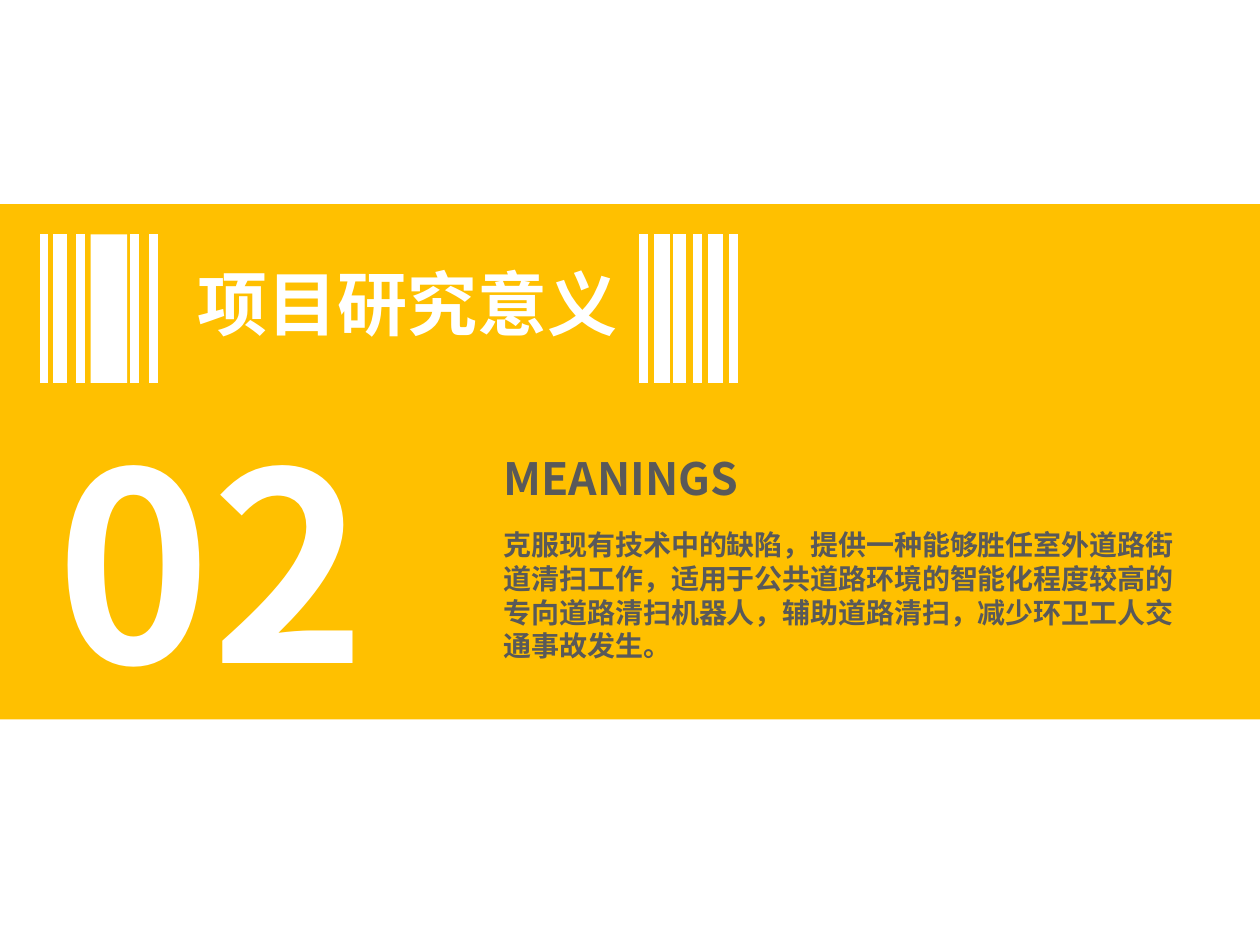
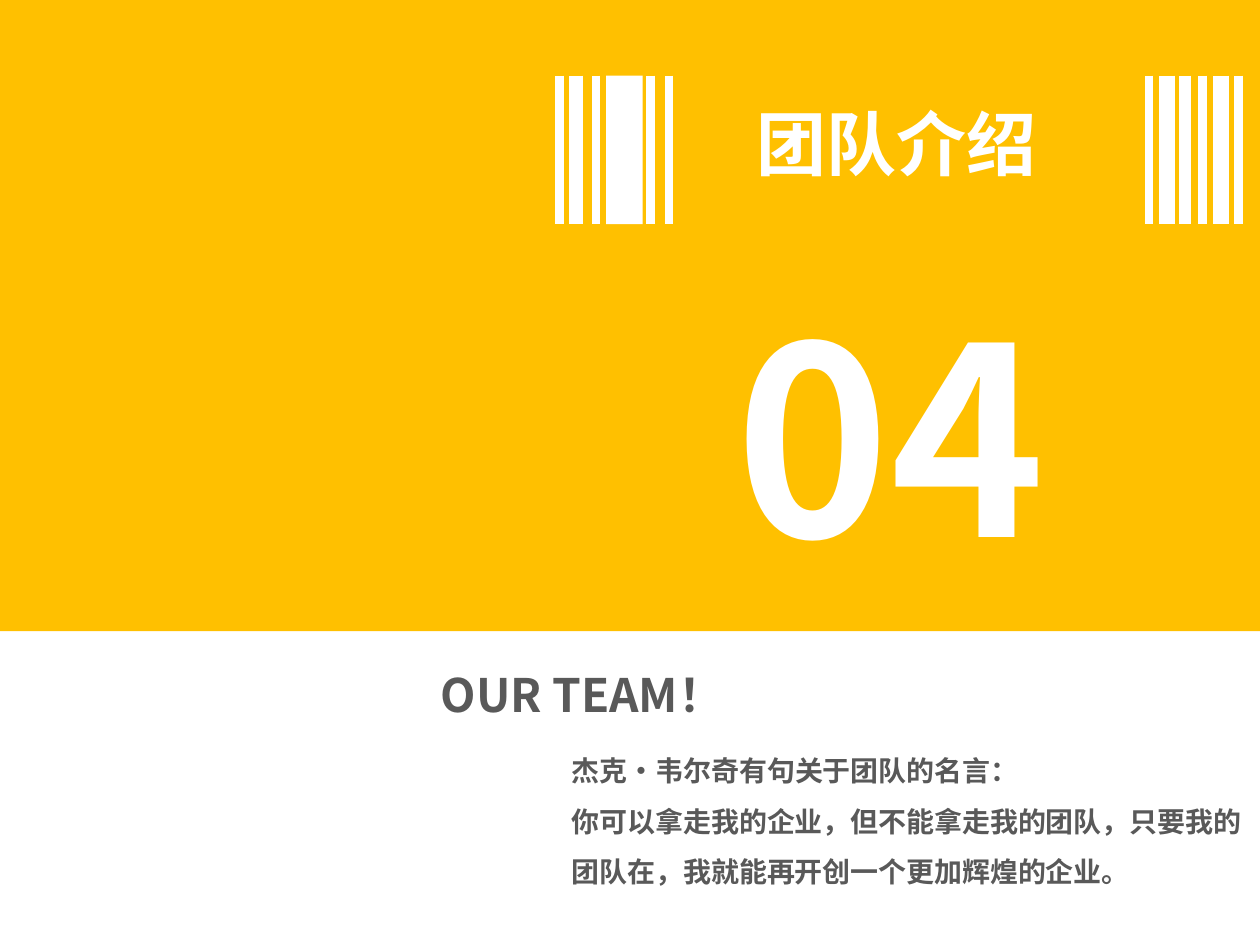
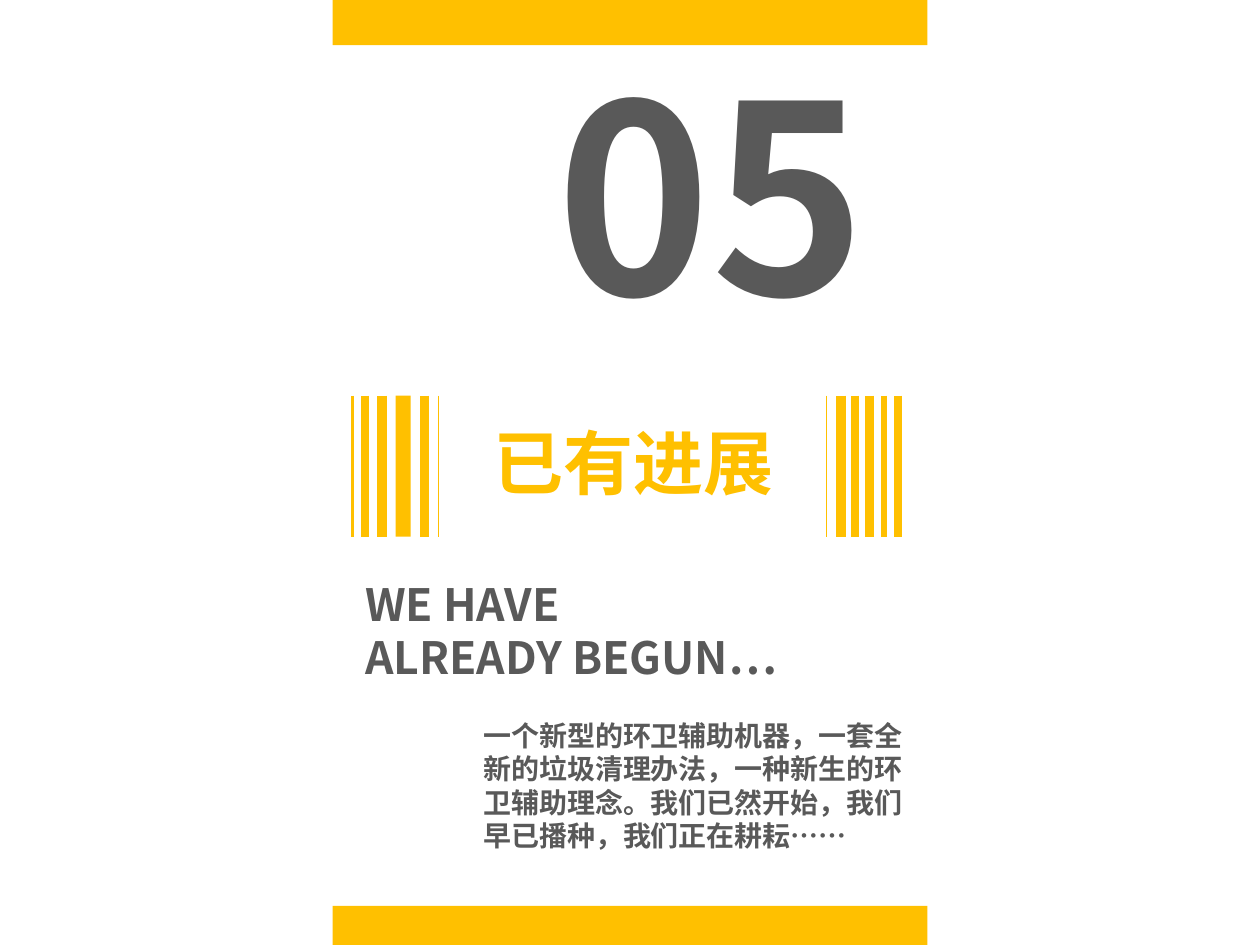
from lxml import etree
from pptx import Presentation
from pptx.dml.color import RGBColor
from pptx.enum import lang, shapes
from pptx.oxml import ns
from pptx.util import Inches, Pt

GOLD = RGBColor(0xFF, 0xC0, 0x00)
WHITE = RGBColor(0xFF, 0xFF, 0xFF)
GREY = RGBColor(0x59, 0x59, 0x59)
CJK = "Noto Sans CJK SC"

WIDE_CODE = {
    "left": [(0, 5), (0.13, 8), (0.29, 5), (0.72, 5), (0.87, 5)],
    "block": (0.37, 0.29),
    "right": [5, 9, 7, 5, 9, 5],
    "right_span": 0.71,
}
THIN_CODE = {
    "left": [(0, 1.5), (0.1, 4.5), (0.23, 6), (0.57, 5), (0.68, 0.25)],
    "block": (0.34, 0.12),
    "right": [0.75, 6, 4.5, 5, 3, 4.5],
    "right_span": 0.57,
}


def add_rect(s, x, y, w, h, color):
    """Draw a plain filled rectangle."""
    sp = s.shapes.add_shape(shapes.MSO_SHAPE.RECTANGLE,
                            Inches(x), Inches(y), Inches(w), Inches(h))
    sp.shadow.inherit = False
    sp.fill.solid()
    sp.fill.fore_color.rgb = color
    sp.line.fill.background()


def add_bar(s, x, y, h, width, color):
    """Draw one vertical barcode line centred on x."""
    bar = s.shapes.add_connector(shapes.MSO_CONNECTOR.STRAIGHT,
                                 Inches(x), Inches(y), Inches(x), Inches(y + h))
    bar.line.color.rgb = color
    bar.line.width = Pt(width)
    etree.SubElement(bar._element.spPr, ns.qn("a:effectLst"))


def add_text(s, x, y, w, h, content, size, color, font=CJK, spacing=None, wrap=True):
    """Add a bold text box with one paragraph per line of content."""
    tf = s.shapes.add_textbox(Inches(x), Inches(y), Inches(w), Inches(h)).text_frame
    tf.word_wrap = wrap
    tf.text = content
    for p in tf.paragraphs:
        if spacing:
            p.line_spacing = spacing
        for r in p.runs:
            r.font.name = font
            r.font.size = Pt(size)
            r.font.bold = True
            r.font.color.rgb = color
            r.font.language_id = lang.MSO_LANGUAGE_ID.SIMPLIFIED_CHINESE
            ea = etree.SubElement(r.font._element, ns.qn("a:ea"))
            ea.set("typeface", CJK)


def add_barcode_title(s, x, y, h, right_x, code, color, title, title_box, wrap=True):
    """Set a title between a left and a right barcode."""
    block_x, block_w = code["block"]
    add_rect(s, x + block_x, y, block_w, h, color)
    for offset, width in code["left"]:
        add_bar(s, x + offset, y, h, width, color)
    pitch = code["right_span"] / (len(code["right"]) - 1)
    for i, width in enumerate(code["right"]):
        add_bar(s, x + right_x + i * pitch, y, h, width, color)
    dx, dy, w = title_box
    add_text(s, x + dx, y + dy, w, 0.77, title, 40, color, "Arial", wrap=wrap)


def add_number(s, x, y, number, color):
    """Add the large section number."""
    add_text(s, x, y, 2.96, 2.72, number, 150, color)


def meanings_slide(s):
    """Build section 02 on a middle band."""
    top = 1.62
    add_rect(s, 0, top, 10, 4.09, GOLD)
    add_barcode_title(s, 0.35, top + 0.24, 1.18, 4.76, WIDE_CODE, WHITE,
                      "项目研究意义", (1.12, 0.16, 3.57), wrap=False)
    add_number(s, 0.35, top + 1.51, "02", WHITE)
    add_text(s, 3.9, top + 1.91, 4.57, 0.62, "MEANINGS", 25.4, GREY)
    add_text(s, 3.9, top + 2.52, 5.56, 1.18,
             "克服现有技术中的缺陷，提供一种能够胜任室外道路街道清扫工作，"
             "适用于公共道路环境的智能化程度较高的专向道路清扫机器人，"
             "辅助道路清扫，减少环卫工人交通事故发生。", 16, GREY)


def team_slide(s):
    """Build section 04 with a tall top band."""
    band_h = 5.01
    add_rect(s, 0, 0, 10, band_h, GOLD)
    add_number(s, 5.74, 2.13, "04", WHITE)
    add_text(s, 3.4, band_h + 0.23, 3.78, 0.71, "OUR TEAM！", 26.3, GREY)
    add_text(s, 4.44, band_h + 0.79, 5.56, 1.31,
             "杰克·韦尔奇有句关于团队的名言：\n"
             "你可以拿走我的企业，但不能拿走我的团队，"
             "只要我的团队在，我就能再开创一个更加辉煌的企业。", 16, GREY, spacing=1.5)
    add_barcode_title(s, 4.44, 0.6, 1.18, 4.68, WIDE_CODE, WHITE,
                      "团队介绍", (1.47, 0.15, 3.07))


def progress_slide(s):
    """Build section 05 as a column between two narrow bands."""
    left, width = 2.64, 4.72
    add_rect(s, left, 0, width, 0.36, GOLD)
    add_rect(s, left, 7.19, width, 0.31, GOLD)
    add_number(s, left + 1.68, 0.21, "05", GREY)
    add_barcode_title(s, left + 0.16, 3.14, 1.12, 3.76, THIN_CODE, GOLD,
                      "已有进展", (1.02, 0.14, 2.52))
    add_text(s, left + 1.1, 5.65, 3.54, 1.18,
             "一个新型的环卫辅助机器，一套全新的垃圾清理办法，"
             "一种新生的环卫辅助理念。我们已然开始，我们早已播种，"
             "我们正在耕耘……", 16, GREY)
    add_text(s, left + 0.16, 4.53, 4.57, 1.09, "WE HAVE\nALREADY BEGUN…", 25.4, GREY)


def main():
    """Build and save the section slides."""
    prs = Presentation()
    prs.slide_width, prs.slide_height = Inches(10), Inches(7.5)
    for build in (meanings_slide, team_slide, progress_slide):
        build(prs.slides.add_slide(prs.slide_layouts[6]))
    prs.save("out.pptx")


if __name__ == "__main__":
    main()
